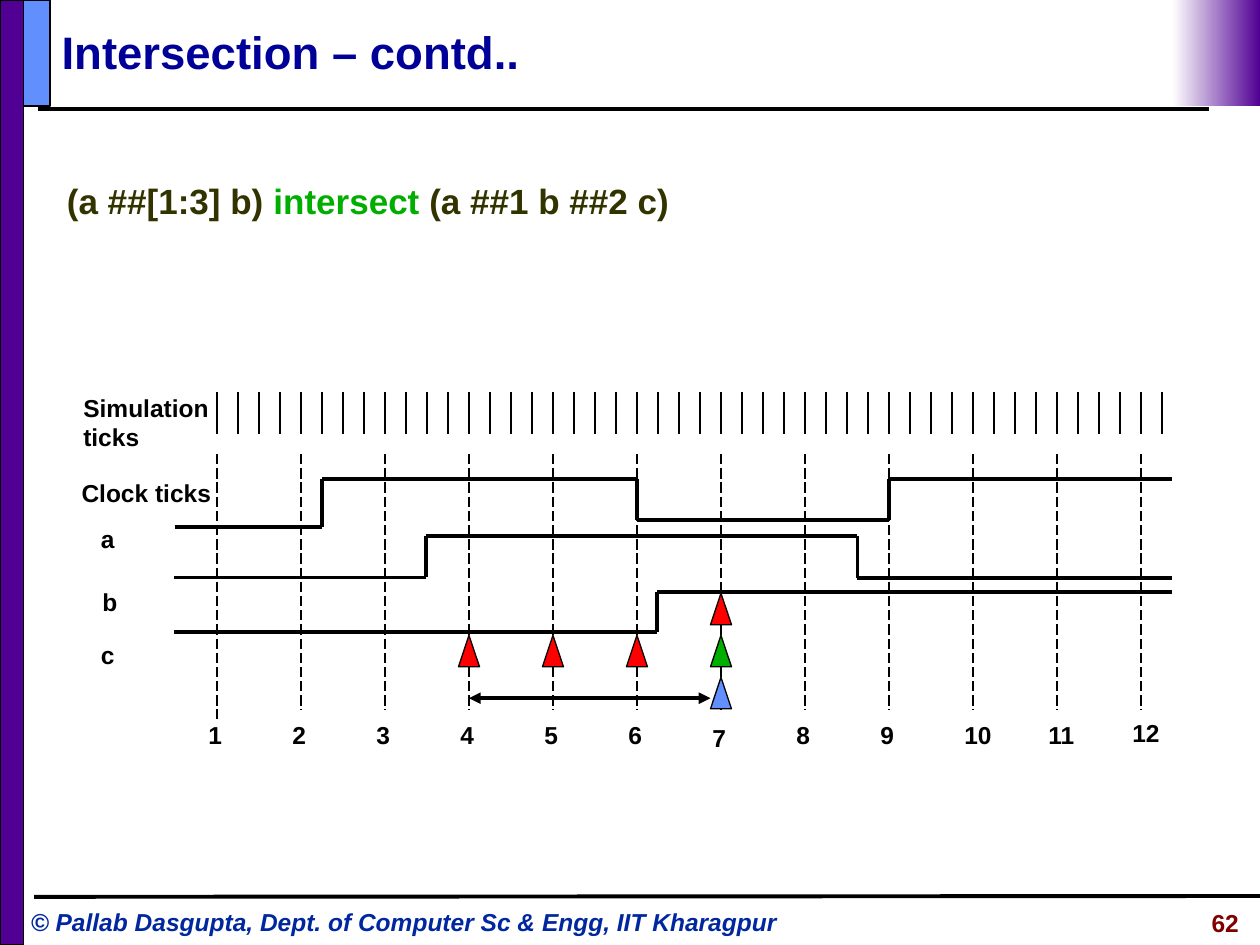
import pptx
import pptx.dml.color
import pptx.enum.dml
import pptx.enum.shapes
import pptx.enum.text
import pptx.oxml
import pptx.util
from lxml import etree

Pt = pptx.util.Pt
SHAPES = pptx.enum.shapes.MSO_SHAPE
ALIGN = pptx.enum.text.PP_ALIGN
ANCHOR = pptx.enum.text.MSO_ANCHOR

BLACK, RED, GREEN, BLUE, PURPLE = "000000", "FF0000", "00AE00", "618FFD", "500093"
FIRST_TICK = 124
SIMULATION_STEP = 12
CLOCK_STEP = 48
SIGNAL_END = 670

# Each signal: starting x, low level, then (x, new level) at every edge
SIGNALS = [
    (100, 301, [(184, 273.5), (364, 297), (508, 273.5)]),
    (99.5, 330, [(243.5, 306.5), (490, 330.5)]),
    (99.5, 361, [(375.5, 338.5)]),
]
# Clock tick, top, colour
MARKERS = [(4, 363, RED), (5, 363, RED), (6, 363, RED),
           (7, 339, RED), (7, 363, GREEN), (7, 387, BLUE)]
# Text, left, top, width
SIGNAL_LABELS = [("Simulation ticks", 40.5, 221, 120), ("Clock ticks", 39.5, 269.5, 90),
                 ("a", 50.5, 296, 66), ("b", 51.5, 332, 66), ("c", 50.5, 362, 66)]


def color(hex_code):
    return pptx.dml.color.RGBColor.from_string(hex_code)


def clock_x(tick):
    return FIRST_TICK + (tick - 1) * CLOCK_STEP


def add_run(paragraph, text, size, hex_code, italic=False):
    run = paragraph.add_run()
    run.text = text
    run.font.name = "Arial"
    run.font.size = Pt(size)
    run.font.bold = True
    run.font.italic = italic
    run.font.color.rgb = color(hex_code)


def add_label(slide, text, left, top, width, hex_code=BLACK, italic=False,
              align=ALIGN.LEFT, before=8.8):
    frame = slide.shapes.add_textbox(Pt(left), Pt(top), Pt(width), Pt(24.5)).text_frame
    frame.word_wrap = True
    paragraph = frame.paragraphs[0]
    paragraph.alignment = align
    paragraph.space_before = Pt(before)
    add_run(paragraph, text, 14, hex_code, italic)


def add_line(slide, x1, y1, x2, y2, width=2.25, dashed=False, arrows=False):
    line = slide.shapes.add_connector(
        pptx.enum.shapes.MSO_CONNECTOR.STRAIGHT, Pt(x1), Pt(y1), Pt(x2), Pt(y2))
    line.line.color.rgb = color(BLACK)
    line.line.width = Pt(width)
    if dashed:
        line.line.dash_style = pptx.enum.dml.MSO_LINE.LONG_DASH
    if arrows:
        outline = line.line._get_or_add_ln()
        for end in ("a:headEnd", "a:tailEnd"):
            etree.SubElement(outline, pptx.oxml.ns.qn(end), type="triangle")
    etree.SubElement(line._element.spPr, pptx.oxml.ns.qn("a:effectLst"))


def add_block(slide, kind, left, top, width, height, fill, border):
    block = slide.shapes.add_shape(kind, Pt(left), Pt(top), Pt(width), Pt(height))
    block.shadow.inherit = False
    block.fill.solid()
    block.fill.fore_color.rgb = color(fill)
    if border:
        block.line.color.rgb = color(BLACK)
        block.line.width = Pt(border)
    else:
        block.line.fill.background()
    return block


def add_frame(slide):
    """Draw the coloured bars, the rules and the footer."""
    add_line(slide, 21.5, 62.5, 691, 62.5)
    add_block(slide, SHAPES.RECTANGLE, 0, 0, 13.5, 540, PURPLE, 1)
    add_line(slide, 19.5, 512.5, 720, 512)
    add_block(slide, SHAPES.RECTANGLE, 13.5, 0, 15, 60.5, BLUE, 1)
    corner = add_block(slide, SHAPES.RECTANGLE, 670, 0, 50, 60.5, PURPLE, 0)
    corner.fill.gradient()
    corner.fill.gradient_angle = 180
    for stop, hex_code, position in zip(corner.fill.gradient_stops, (PURPLE, "FFFFFF"), (0, 1)):
        stop.color.rgb = color(hex_code)
        stop.position = position
    add_label(slide, "© Pallab Dasgupta, Dept. of Computer Sc & Engg, IIT Kharagpur",
              10.5, 515, 459, "00279F", italic=True, before=0)
    add_label(slide, "62", 589, 515.5, 126, "800000", align=ALIGN.RIGHT, before=0)


def place(placeholder, left, top, width, height, anchor):
    """Position a placeholder and return its first paragraph."""
    placeholder.left, placeholder.top = Pt(left), Pt(top)
    placeholder.width, placeholder.height = Pt(width), Pt(height)
    placeholder.text_frame.vertical_anchor = anchor
    paragraph = placeholder.text_frame.paragraphs[0]
    paragraph.alignment = ALIGN.LEFT
    return paragraph


def fill_placeholders(slide):
    heading = place(slide.shapes.title, 28, 7.5, 655, 44, ANCHOR.MIDDLE)
    add_run(heading, "Intersection – contd..", 26, "000099")

    expression = place(slide.placeholders[1], 31, 93, 659.5, 60.5, ANCHOR.TOP)
    expression.line_spacing = 1.25
    expression.space_before = Pt(7.5)
    properties = expression._p.get_or_add_pPr()
    properties.set("marL", str(Pt(27)))
    properties.set("indent", str(Pt(-27)))
    etree.SubElement(properties, pptx.oxml.ns.qn("a:buNone"))
    for text, hex_code in [("(a ##[1:3] b) ", "333300"), ("intersect", GREEN),
                           (" (a ##1 b ##2 c)", "333300")]:
        add_run(expression, text, 20, hex_code)


def add_time_grid(slide):
    for index in range(46):
        x = FIRST_TICK + index * SIMULATION_STEP
        add_line(slide, x, 224, x, 248, 0.75)
    number_tops = {7: 409.5, 12: 407}
    for tick in range(1, 13):
        x = clock_x(tick)
        add_line(slide, x, 259.5, x, 411 if tick == 1 else 405.5, 0.75, dashed=True)
        add_label(slide, str(tick), x - 12, number_tops.get(tick, 408), 36)


def add_signal(slide, x, level, edges):
    for edge_x, next_level in edges:
        add_line(slide, x, level, edge_x, level)
        add_line(slide, edge_x, level, edge_x, next_level)
        x, level = edge_x, next_level
    add_line(slide, x, level, SIGNAL_END, level)


def add_markers(slide):
    add_line(slide, clock_x(4), 399, clock_x(7) - 6, 399, arrows=True)
    for tick, top, fill in MARKERS:
        add_block(slide, SHAPES.ISOSCELES_TRIANGLE, clock_x(tick) - 6, top, 12, 18, fill, 0.75)


def main():
    deck = pptx.Presentation()
    deck.slide_width, deck.slide_height = Pt(720), Pt(540)
    slide = deck.slides.add_slide(deck.slide_layouts[1])
    add_frame(slide)
    fill_placeholders(slide)
    add_time_grid(slide)
    for signal in SIGNALS:
        add_signal(slide, *signal)
    add_markers(slide)
    for label in SIGNAL_LABELS:
        add_label(slide, *label)
    deck.save("out.pptx")


if __name__ == "__main__":
    main()
